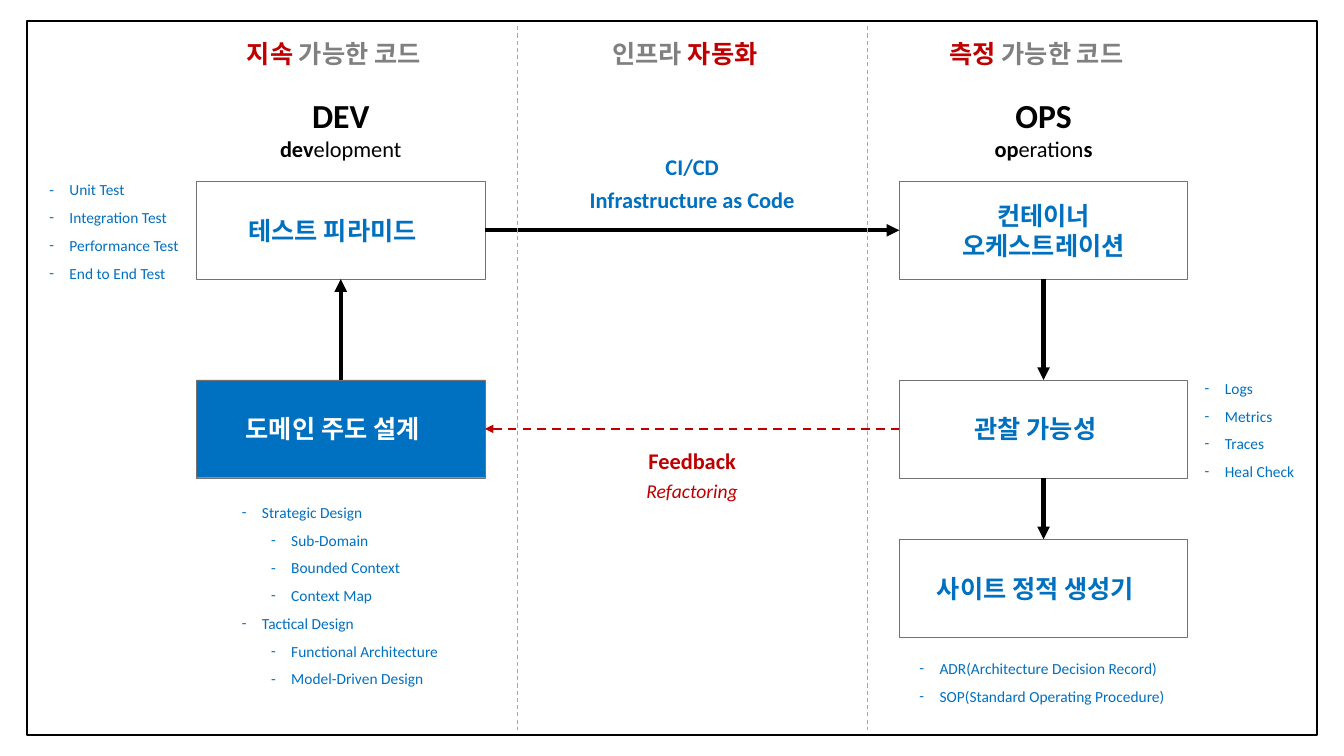
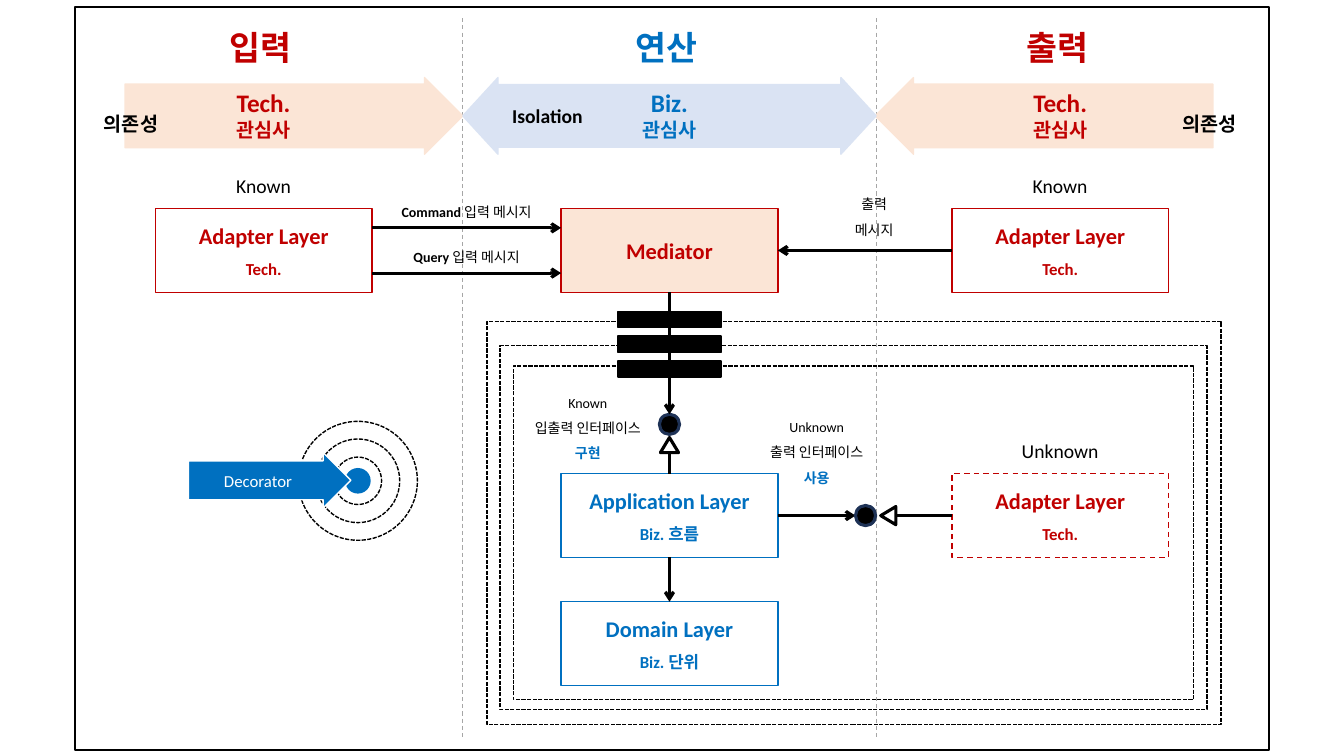
from dataclasses import dataclass
from lxml import etree
from pptx import Presentation
from pptx import util as u
from pptx.dml.color import RGBColor
from pptx.enum import dml, shapes, text
from pptx.oxml.ns import qn

BLACK = RGBColor(0x00, 0x00, 0x00)
WHITE = RGBColor(0xFF, 0xFF, 0xFF)
BLUE = RGBColor(0x00, 0x70, 0xC0)
RED = RGBColor(0xC0, 0x00, 0x00)
GREY = RGBColor(0x80, 0x80, 0x80)
DIVIDER = RGBColor(0xA6, 0xA6, 0xA6)
OUTLINE = RGBColor(0x76, 0x71, 0x71)
NAVY = RGBColor(0x1E, 0x32, 0x56)
PEACH = RGBColor(0xFB, 0xE5, 0xD6)
PALE_BLUE = RGBColor(0xDA, 0xE3, 0xF3)
FONT = "Calibri"
CELL = 0.1
DASH = dml.MSO_LINE.DASH
DOTS = dml.MSO_LINE.SQUARE_DOT
KIND = shapes.MSO_SHAPE


@dataclass
class Box:
    left: float
    top: float
    width: float
    height: float

    @property
    def right(self):
        return self.left + self.width

    @property
    def bottom(self):
        return self.top + self.height

    @property
    def center(self):
        return self.left + self.width / 2

    @property
    def middle(self):
        return self.top + self.height / 2

    def inside(self, left, top, width, height):
        return Box(self.left + left, self.top + top, width, height)

    def lengths(self):
        return [cells(v) for v in (self.left, self.top, self.width, self.height)]


def cells(count):
    return u.Inches(count * CELL)


def around(center, middle, width, height):
    return Box(center - width / 2, middle - height / 2, width, height)


def apply_font(font, values):
    for name, value in values.items():
        if name == "color":
            font.color.rgb = value
        else:
            setattr(font, name, value)


def write(frame, lines, base, spacing=1, gap=0):
    for index, runs in enumerate(lines):
        paragraph = frame.paragraphs[0] if index == 0 else frame.add_paragraph()
        paragraph.alignment = text.PP_ALIGN.CENTER
        paragraph.line_spacing = spacing
        if index and gap:
            paragraph.space_before = u.Pt(gap)
        for words, changes in runs:
            run = paragraph.add_run()
            run.text = words
            apply_font(run.font, {"name": FONT, **base, **changes})


def style(size, color, **more):
    return {"size": u.Pt(size), "color": color, **more}


def text_box(slide, box):
    frame = slide.shapes.add_textbox(*box.lengths()).text_frame
    frame.word_wrap = False
    frame.auto_size = text.MSO_AUTO_SIZE.SHAPE_TO_FIT_TEXT
    return frame


def label(slide, center, top, lines, base, spacing=1, width=18):
    if isinstance(lines, str):
        lines = [[(lines, {})]]
    points = sum(max(changes.get("size", base["size"]).pt for _, changes in runs)
                 for runs in lines)
    height = 1 + points * 1.22 * spacing / 7.2
    frame = text_box(slide, Box(center - width / 2, top, width, height))
    write(frame, lines, base, spacing)


def bullets(slide, box, items, first_spacing=1.5):
    frame = text_box(slide, box)
    for index, (level, words) in enumerate(items):
        paragraph = frame.paragraphs[0] if index == 0 else frame.add_paragraph()
        properties = paragraph._p.get_or_add_pPr()
        properties.set("marL", str(u.Inches(0.2 + 0.29 * level)))
        properties.set("indent", str(u.Inches(-0.2)))
        etree.SubElement(properties, qn("a:buFont")).set("typeface", FONT)
        etree.SubElement(properties, qn("a:buChar")).set("char", "-")
        paragraph.level = level
        paragraph.line_spacing = 1.5 if index else first_spacing
        run = paragraph.add_run()
        run.text = words
        apply_font(run.font, style(11, BLUE, name=FONT))


def draw(slide, kind, box, fill=None, line=BLACK, width=1, dash=None,
         rotation=0, adjustments=()):
    shape = slide.shapes.add_shape(kind, *box.lengths())
    shape.shadow.inherit = False
    shape.rotation = rotation
    for index, value in enumerate(adjustments):
        shape.adjustments[index] = value
    if fill is None:
        shape.fill.background()
    else:
        shape.fill.solid()
        shape.fill.fore_color.rgb = fill
    shape.line.color.rgb = line
    shape.line.width = u.Pt(width)
    if dash:
        shape.line.dash_style = dash
    return shape


def link(slide, start, end, color=BLACK, width=2.25, head=None, dash=None):
    connector = slide.shapes.add_connector(
        shapes.MSO_CONNECTOR.STRAIGHT, *[cells(v) for v in (*start, *end)])
    connector.line.color.rgb = color
    connector.line.width = u.Pt(width)
    if dash:
        connector.line.dash_style = dash
    if head:
        line = connector.line._get_or_add_ln()
        etree.SubElement(line, qn("a:tailEnd")).set("type", head)
    etree.SubElement(connector._element.spPr, qn("a:effectLst"))


def node(slide, box, lines, base, gap=0, right_margin=1, **look):
    shape = draw(slide, KIND.RECTANGLE, box, **look)
    frame = shape.text_frame
    frame.word_wrap = False
    frame.margin_right = cells(right_margin)
    frame.vertical_anchor = text.MSO_ANCHOR.MIDDLE
    write(frame, lines, base, gap=gap)
    return box


def dividers(slide, box, columns, inset):
    for column in columns:
        link(slide, (column, box.top + inset), (column, box.bottom - inset),
             DIVIDER, 0.75, dash=DASH)


def stage(slide, box, node_left, heading, title, steps):
    center = box.left + node_left + 14.3
    label(slide, center - 0.7, box.top + 1.2, [heading],
          style(18, GREY, bold=True), width=22)
    label(slide, center, box.top + 6.8, title, style(16, BLACK, bold=True))
    return [node(slide, box.inside(node_left, top, 28.6, 9.7),
                 [[(words, {})] for words in lines],
                 style(18, WHITE if fill == BLUE else BLUE, bold=True),
                 right_margin=2.6 if len(lines) == 1 else 1,
                 fill=fill, line=OUTLINE, width=0.25)
            for top, lines, fill in steps]


def development(slide, box):
    nodes = stage(slide, box, 16.8,
                  [("지속", {"color": RED}), (" 가능한 코드", {})],
                  [[("DEV", {"size": u.Pt(24)})],
                   [("dev", {}), ("elopment", {"bold": False})]],
                  [(15.9, ["테스트 피라미드"], WHITE), (35.6, ["도메인 주도 설계"], BLUE)])
    tests, design = nodes
    link(slide, (design.center, design.top), (tests.center, tests.bottom),
         width=3, head="triangle")
    bullets(slide, box.inside(20.3, 46.4, 21.6, 20.2),
            [(0, "Strategic Design"), (1, "Sub-Domain"), (1, "Bounded Context"),
             (1, "Context Map"), (0, "Tactical Design"),
             (1, "Functional Architecture"), (1, "Model-Driven Design")])
    bullets(slide, box.inside(1.2, 14.4, 15.1, 11.8),
            [(0, "Unit Test"), (0, "Integration Test"),
             (0, "Performance Test"), (0, "End to End Test")])
    return nodes


def operations(slide, box):
    nodes = stage(slide, box, 3.2,
                  [("측정", {"color": RED}), (" 가능한 코드", {})],
                  [[("OPS", {"size": u.Pt(24)})],
                   [("op", {}), ("eration", {"bold": False}), ("s", {})]],
                  [(15.9, ["컨테이너", "오케스트레이션"], WHITE),
                   (35.6, ["관찰 가능성"], WHITE),
                   (51.4, ["사이트 정적 생성기"], WHITE)])
    for upper, lower in zip(nodes, nodes[1:]):
        link(slide, (upper.center, upper.bottom), (lower.center, lower.top),
             width=3, head="triangle")
    bullets(slide, box.inside(32.5, 35, 10.9, 10.9),
            [(0, "Logs"), (0, "Metrics"), (0, "Traces"), (0, "Heal Check")], 1)
    bullets(slide, box.inside(4.2, 61.9, 26.5, 6.3),
            [(0, "ADR(Architecture Decision Record)"),
             (0, "SOP(Standard Operating Procedure)")])
    return nodes


def automation(slide, box, tests, design, containers, observability):
    label(slide, box.center - 0.7, box.top + 1.2,
          [[("인프라 ", {}), ("자동화", {"color": RED})]], style(18, GREY, bold=True))
    for top, words, base in (
            (12.6, "CI/CD", style(16, BLUE, bold=True)),
            (15.9, "Infrastructure as Code", style(16, BLUE, bold=True)),
            (41.8, "Feedback", style(16, RED, bold=True)),
            (44.9, "Refactoring", style(14, RED, italic=True))):
        label(slide, box.center, box.top + top, words, base, width=24)
    link(slide, (tests.right, tests.middle), (containers.left, containers.middle),
         width=3, head="triangle")
    link(slide, (observability.left, observability.middle),
         (design.right, design.middle), RED, 1.5, "triangle", DASH)


def devops_slide(slide):
    frame = Box(2.7, 2.1, 127.9, 70.8)
    edges = [51.3, 86]
    draw(slide, KIND.RECTANGLE, frame, width=1.5)
    starts = [frame.left, *edges]
    ends = [*edges, frame.right]
    left, center, right = [Box(start, frame.top, end - start, frame.height)
                           for start, end in zip(starts, ends)]
    tests, design = development(slide, left)
    containers, observability, _ = operations(slide, right)
    automation(slide, center, tests, design, containers, observability)
    dividers(slide, frame, edges, 0.5)


def concern(slide, box, center, heading, kind, adjustments, fill, title, color, rotation=0):
    draw(slide, kind, box, fill=fill, line=fill, rotation=rotation, adjustments=adjustments)
    label(slide, center - 0.3, box.top - 5.5, heading, style(24, color, bold=True))
    label(slide, center, box.top + 0.5,
          [[(title, {})], [("관심사", {"size": u.Pt(14)})]], style(18, color, bold=True))


def messages(slide, source, mediator, target):
    for row, words in ((0.23, "Command "), (0.77, "Query ")):
        level = source.top + row * source.height
        link(slide, (source.right, level), (mediator.left, level), head="arrow")
        label(slide, (source.right + mediator.left) / 2, level - 3.75,
              [[(words, {"bold": True}), ("입력 메시지", {})]], style(10, BLACK), 1.5)
    link(slide, (target.left, target.middle), (mediator.right, mediator.middle), head="arrow")
    label(slide, target.left - 7.7, target.top - 2.6,
          [[("출력", {})], [("메시지", {})]], style(10, BLACK), 1.5)


def port(slide, center, middle):
    draw(slide, KIND.OVAL, around(center, middle, 2, 2), fill=BLACK, line=NAVY, width=2.25)


def interface_note(slide, center, top, owner, name, role):
    label(slide, center, top,
          [[(owner, {})], [(name, {})], [(role, {"color": BLUE, "bold": True})]],
          style(10, BLACK), 1.5)


def core(slide, box, mediator, application, domain, adapter):
    axis = mediator.center
    triangle = {"fill": WHITE, "width": 2.25}
    link(slide, (axis, application.top), (axis, application.top - 2.1))
    draw(slide, KIND.ISOSCELES_TRIANGLE,
         around(axis, application.top - 2.85, 1.8, 1.5), **triangle)
    port(slide, axis, application.top - 4.9)
    link(slide, (axis, mediator.bottom), (axis, application.top - 5.9), head="arrow")
    link(slide, (axis, application.bottom), (axis, domain.top), head="arrow")
    level = application.middle
    link(slide, (application.right, level), (application.right + 7.7, level), head="arrow")
    port(slide, application.right + 8.7, level)
    link(slide, (adapter.left, level), (adapter.left - 5.6, level))
    draw(slide, KIND.ISOSCELES_TRIANGLE,
         around(adapter.left - 6.3, level, 1.8, 1.5), rotation=270, **triangle)
    for step in range(3):
        draw(slide, KIND.RECTANGLE, around(axis, box.top - 0.2 + 2.45 * step, 10.2, 1.6),
             fill=BLACK)
    for left, top, width, height in ((2.6, 4.4, 67.5, 33.1), (1.3, 2.4, 70.1, 36.1),
                                     (0, 0, 72.8, 40)):
        draw(slide, KIND.RECTANGLE, box.inside(left, top, width, height), dash=DOTS)
    interface_note(slide, box.left + 10, box.top + 5.9, "Known", "입출력 인터페이스", "구현")
    interface_note(slide, box.left + 32.7, box.top + 8.3, "Unknown", "출력 인터페이스", "사용")


def decorator(slide, box):
    center = box.right - box.height / 2
    for size in (11.8, 8.3, 4.7):
        draw(slide, KIND.OVAL, around(center, box.middle, size, size), dash=DOTS)
    draw(slide, KIND.OVAL, around(center, box.middle, 2.4, 2.4), fill=BLUE, line=BLUE)
    draw(slide, KIND.RIGHT_ARROW, box.inside(0, 3.1, 16.1, 5.5), fill=BLUE, line=WHITE,
         adjustments=(0.7, 0.5))
    label(slide, box.left + 6.9, box.top + 4.4, "Decorator", style(12, WHITE), width=12)


def layer(slide, box, name, detail, color, **look):
    lines = [[(name, {})]]
    if detail:
        lines.append([(detail, {"size": u.Pt(12)})])
    return node(slide, box, lines, style(16, color, bold=True), gap=7, line=color, **look)


def architecture_slide(slide):
    frame = Box(7.4, 0.7, 118.5, 73.7)
    edges = [45.9, 86.9]
    draw(slide, KIND.RECTANGLE, frame, width=1.5)
    dividers(slide, frame, edges, 1.1)
    centers = [26.15, 66.4, 105.15]
    rows = [20.7, 47, 59.7]

    def place(column, row):
        return Box(centers[column] - 10.75, rows[row], 21.5, 8.3)

    arrow, double = (0.83, 0.5), (0.82, 0.46)
    for left, width, center, details in (
            (86.8, 33.5, centers[2],
             ("출력", KIND.RIGHT_ARROW, arrow, PEACH, "Tech.", RED, 180)),
            (12.4, 33.5, centers[0],
             ("입력", KIND.RIGHT_ARROW, arrow, PEACH, "Tech.", RED)),
            (45.9, 41, centers[1],
             ("연산", KIND.LEFT_RIGHT_ARROW, double, PALE_BLUE, "Biz.", BLUE))):
        concern(slide, Box(left, 7.7, width, 7.6), center, *details)
    bold = style(14, BLACK, bold=True)
    label(slide, 54.3, 9.8, "Isolation", bold, width=12)
    for center in (13, 120):
        label(slide, center, 9.4, "의존성", bold, 1.5, 10)

    source = layer(slide, place(0, 0), "Adapter Layer", "Tech.", RED)
    target = layer(slide, place(2, 0), "Adapter Layer", "Tech.", RED)
    mediator = layer(slide, place(1, 0), "Mediator", None, RED, fill=PEACH)
    application = layer(slide, place(1, 1), "Application Layer", "Biz. 흐름", BLUE)
    domain = layer(slide, place(1, 2), "Domain Layer", "Biz. 단위", BLUE)
    adapter = layer(slide, place(2, 1), "Adapter Layer", "Tech.", RED, dash=DASH)
    for box, words in ((source, "Known"), (target, "Known"), (adapter, "Unknown")):
        label(slide, box.center, box.top - 3.9, words, style(14, BLACK))
    messages(slide, source, mediator, target)
    core(slide, Box(48.3, 31.9, 72.8, 40), mediator, application, domain, adapter)
    decorator(slide, Box(18.7, 41.8, 22.7, 11.8))


def main():
    presentation = Presentation()
    presentation.slide_width = u.Inches(13.33)
    presentation.slide_height = u.Inches(7.5)
    blank = presentation.slide_layouts[6]
    for build in (devops_slide, architecture_slide):
        build(presentation.slides.add_slide(blank))
    presentation.save("out.pptx")


if __name__ == "__main__":
    main()
